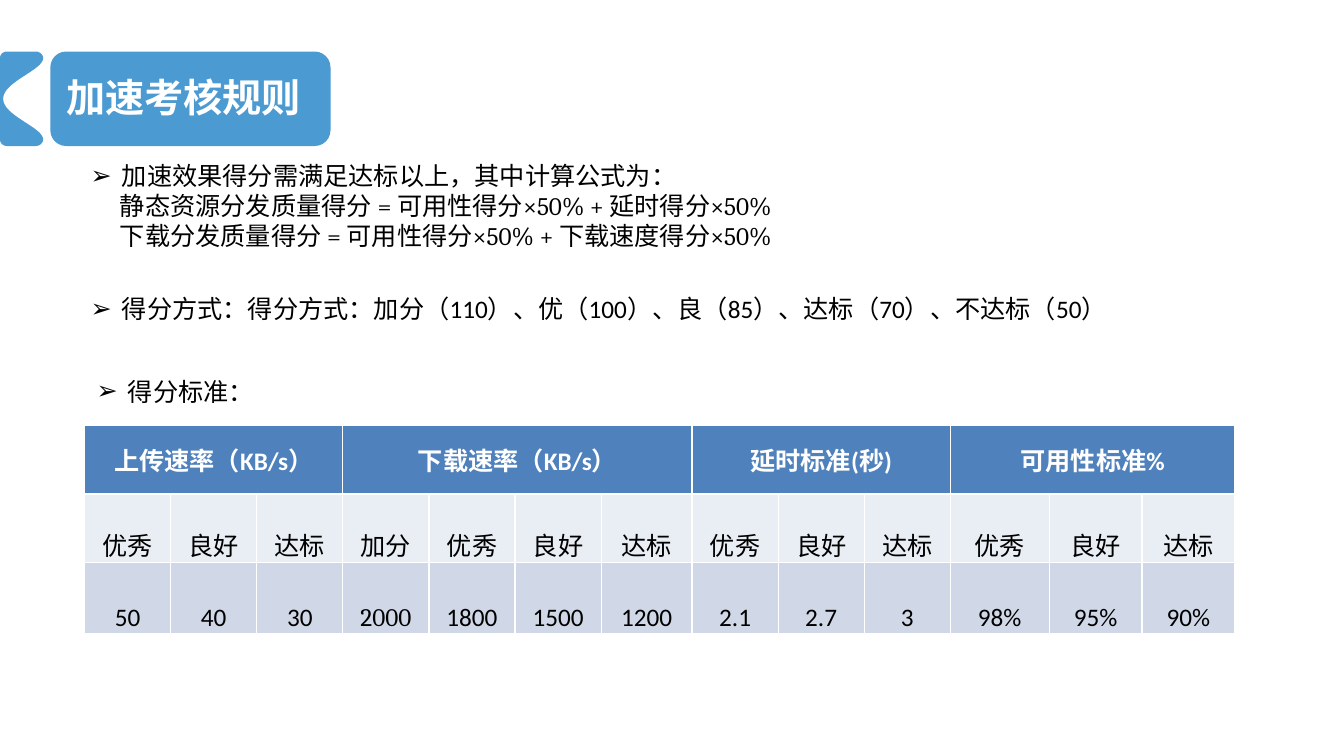
from dataclasses import dataclass
from lxml.etree import SubElement as Sub
from pptx import Presentation
from pptx.dml.color import RGBColor as Rgb
from pptx.enum.shapes import MSO_SHAPE as Kind
from pptx.enum.text import MSO_ANCHOR as Anchor, MSO_AUTO_SIZE as Auto, PP_ALIGN as Align
from pptx.oxml.ns import qn
from pptx.util import Cm, Pt


@dataclass(frozen=True)
class Theme:
    blue: Rgb = Rgb(0x00, 0x70, 0xC0)
    head: Rgb = Rgb(0x4F, 0x81, 0xBD)
    pale: Rgb = Rgb(0xE9, 0xED, 0xF4)
    deep: Rgb = Rgb(0xD0, 0xD8, 0xE8)
    white: Rgb = Rgb(0xFF, 0xFF, 0xFF)
    black: Rgb = Rgb(0, 0, 0)
    title: Pt = Pt(28)
    body: Pt = Pt(18)
    plain: str = "Calibri"
    serif: str = "Cambria"
    asian: str = "Noto Sans CJK SC"


@dataclass(frozen=True)
class Box:
    left: float
    top: float
    width: float
    height: float

    def place(self, shape) -> None:
        shape.left, shape.top = Cm(self.left), Cm(self.top)
        shape.width, shape.height = Cm(self.width), Cm(self.height)


@dataclass(frozen=True)
class Notes:
    box: Box
    lines: tuple[str, ...]
    font: str
    align: Align = Align.LEFT


@dataclass(frozen=True)
class Group:
    name: str
    marks: tuple[str, ...]
    rates: tuple[str, ...]
    widths: tuple[float, ...]


LOOK = Theme()
LINE, INDENT, SIDE = 2.17, 0.79, 0.18
TOP, MID = 1.3, 2.49
THREE = ("优秀", "良好", "达标")

NOTES = (
    Notes(Box(2.03, 3.91, 24.51, 2.57),
          ("加速效果得分需满足达标以上，其中计算公式为：",
           "静态资源分发质量得分 = 可用性得分×50% + 延时得分×50%",
           "下载分发质量得分 = 可用性得分×50% + 下载速度得分×50%"),
          LOOK.serif, Align.JUSTIFY),
    Notes(Box(2.03, 7.26, 26.37, 1.8),
          ("得分方式：得分方式：加分（110）、优（100）、良（85）、达标（70）、不达标（50）",),
          LOOK.plain),
    Notes(Box(2.18, 9.35, 4.52, 1.02), ("得分标准：",), LOOK.plain),
)

GROUPS = (
    Group("上传速率（KB/s）", THREE, ("50", "40", "30"), (LINE,) * 3),
    Group("下载速率（KB/s）", ("加分",) + THREE,
          ("2000", "1800", "1500", "1200"), (LINE,) * 3 + (2.29,)),
    Group("延时标准(秒)", THREE, ("2.1", "2.7", "3"), (LINE,) * 3),
    Group("可用性标准%", THREE, ("98%", "95%", "90%"), (2.49, 2.34, 2.34)),
)


def write(par, text: str, *, font: str = LOOK.plain, size: Pt = LOOK.body,
          color: Rgb = LOOK.black, bold: bool = False,
          align: Align = Align.CENTER) -> None:
    par.alignment = align
    par.space_before = Pt(0)
    run = par.add_run()
    run.text = text
    run.font.name, run.font.size, run.font.bold = font, size, bold
    run.font.color.rgb = color
    Sub(run.font._element, qn("a:ea"), typeface=LOOK.asian)


def tint(shape) -> None:
    shape.shadow.inherit = False
    shape.fill.solid()
    shape.fill.fore_color.rgb = LOOK.blue
    shape.line.fill.background()
    color = next(shape.fill._xPr.iter(qn("a:srgbClr")))
    Sub(color, qn("a:alpha"), val="70000")


def curve(*ends: tuple[float, float], steps: int = 16) -> list[tuple[float, float]]:
    def point(t: float) -> tuple[float, float]:
        parts = ((1 - t) ** 3, 3 * t * (1 - t) ** 2, 3 * t * t * (1 - t), t ** 3)
        return (sum(k * x for k, (x, _) in zip(parts, ends)),
                sum(k * y for k, (_, y) in zip(parts, ends)))
    return [point(i / steps) for i in range(steps + 1)]


def notch(slide) -> None:
    half = (curve((0.08, MID), (0.08, 2.06), (1.07, 1.78), (1.09, 1.47))
            + curve((1.09, 1.47), (1.09, 1.37), (0.99, TOP), (0.91, TOP))
            + curve((0.18, TOP), (0.08, TOP), (0, 1.37), (0, 1.47)))
    whole = half + [(x, 2 * MID - y) for x, y in reversed(half)]
    dots = [(Cm(x), Cm(y)) for x, y in whole]
    pen = slide.shapes.build_freeform(*dots[0], scale=1.0)
    pen.add_line_segments(dots[1:], close=True)
    tint(pen.convert_to_shape())


def banner(slide) -> None:
    pill = slide.shapes.add_shape(Kind.FLOWCHART_ALTERNATE_PROCESS,
                                  Cm(1.27), Cm(TOP), Cm(7.06), Cm(2 * (MID - TOP)))
    tint(pill)
    notch(slide)
    title = slide.shapes.title
    Box(0.13, 1.73, 8.99, 1.4).place(title)
    frame = title.text_frame
    frame.auto_size, frame.vertical_anchor = Auto.NONE, Anchor.MIDDLE
    write(frame.paragraphs[0], "加速考核规则", font=LOOK.asian, size=LOOK.title,
          color=LOOK.white, bold=True)
    slide.shapes._spTree.append(title._element)


def bullets(shape, notes: Notes) -> None:
    notes.box.place(shape)
    frame = shape.text_frame
    frame.word_wrap, frame.auto_size = True, Auto.NONE
    frame.vertical_anchor = Anchor.TOP
    for i, text in enumerate(notes.lines):
        par = frame.add_paragraph() if i else frame.paragraphs[0]
        write(par, text, font=notes.font, align=notes.align)
        props = par._p.get_or_add_pPr()
        if i:
            props.set("marL", "0")
            props.set("indent", str(Cm(0.74)))
            Sub(props, qn("a:buNone"))
        else:
            props.set("marL", str(Cm(INDENT)))
            props.set("indent", str(-Cm(INDENT)))
            Sub(props, qn("a:buChar"), char="➢")


def paint(cell, text: str, fill: Rgb, anchor: Anchor, **style) -> None:
    cell.margin_left = cell.margin_right = Cm(SIDE)
    cell.margin_top = cell.margin_bottom = 0
    cell.vertical_anchor = anchor
    props = cell._tc.get_or_add_tcPr()
    for side in ("lnL", "lnR", "lnT", "lnB"):
        edge = Sub(props, qn(f"a:{side}"), w=str(Pt(1)))
        Sub(Sub(edge, qn("a:solidFill")), qn("a:srgbClr"), val=str(LOOK.white))
    cell.fill.solid()
    cell.fill.fore_color.rgb = fill
    if text:
        write(cell.text_frame.paragraphs[0], text, **style)


def scores(slide) -> None:
    widths = [w for group in GROUPS for w in group.widths]
    highs = (1.73, 1.73, 1.78)
    grid = slide.shapes.add_table(len(highs), len(widths), Cm(2.13), Cm(10.72),
                                  Cm(sum(widths)), Cm(sum(highs))).table
    for row, high in zip(grid.rows, highs):
        row.height = Cm(high)
    for col, width in zip(grid.columns, widths):
        col.width = Cm(width)
    start = 0
    for group in GROUPS:
        last = start + len(group.marks) - 1
        for i, (mark, rate) in enumerate(zip(group.marks, group.rates)):
            col = start + i
            paint(grid.cell(0, col), "" if i else group.name, LOOK.head,
                  Anchor.MIDDLE, color=LOOK.white, bold=True)
            font = LOOK.serif if mark == "加分" else LOOK.plain
            for row, text, fill in ((1, mark, LOOK.pale), (2, rate, LOOK.deep)):
                paint(grid.cell(row, col), text, fill, Anchor.BOTTOM, font=font)
        grid.cell(0, start).merge(grid.cell(0, last))
        start = last + 1


def main() -> None:
    deck = Presentation()
    deck.slide_width, deck.slide_height = Cm(33.87), Cm(19.05)
    slide = deck.slides.add_slide(deck.slide_layouts.get_by_name("Comparison"))
    banner(slide)
    bodies = [s for s in slide.placeholders if s.placeholder_format.idx]
    for shape, notes in zip(bodies, NOTES):
        bullets(shape, notes)
    for spare in bodies[len(NOTES):]:
        spare._element.getparent().remove(spare._element)
    scores(slide)
    deck.save("out.pptx")


main()
